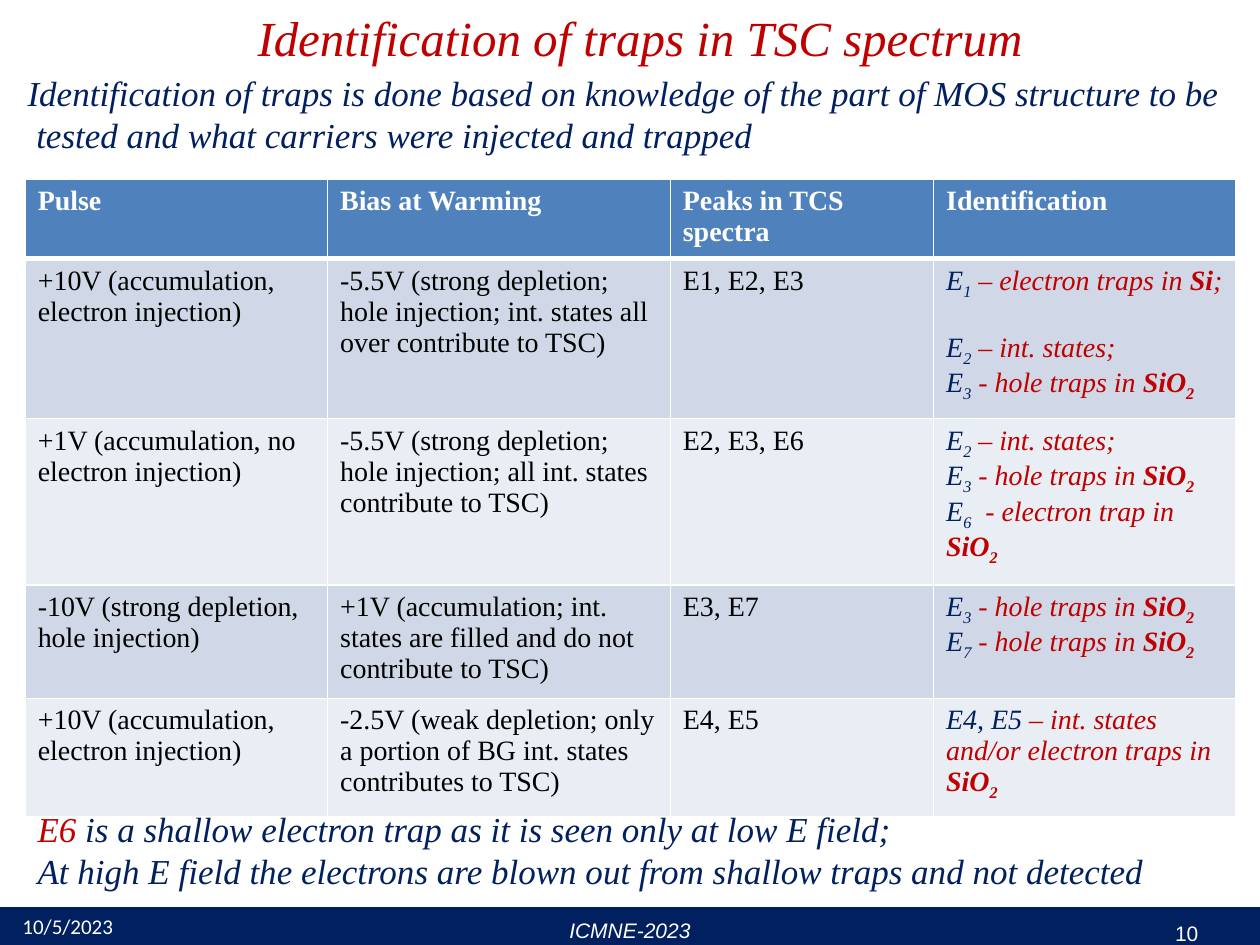
"""Build the slide on identifying traps in a TSC spectrum."""
from dataclasses import dataclass

from lxml import etree
from pptx import Presentation
from pptx.dml.color import RGBColor
from pptx.enum.shapes import MSO_SHAPE
from pptx.enum.text import MSO_ANCHOR, PP_ALIGN
from pptx.oxml.ns import qn
from pptx.util import Inches, Pt

RECTANGLE = MSO_SHAPE.RECTANGLE
TOP, MIDDLE = MSO_ANCHOR.TOP, MSO_ANCHOR.MIDDLE
LEFT, CENTER, RIGHT = PP_ALIGN.LEFT, PP_ALIGN.CENTER, PP_ALIGN.RIGHT
WIDTH, HEIGHT = Inches(10), Inches(7.5)
COLUMN, ROW = WIDTH / 100, HEIGHT / 75


@dataclass(frozen=True)
class Theme:
    """Colours, fonts and type sizes of the slide."""
    red: str = "C00000"
    navy: str = "002060"
    white: str = "FFFFFF"
    black: str = "000000"
    header: str = "4F81BD"
    bands: tuple = ("D0D8E8", "E9EDF4")
    serif: str = "Times New Roman"
    sans: str = "Arial"
    date: str = "Calibri"
    title: int = 28
    body: int = 20
    cell: int = 16
    footer: int = 12


THEME = Theme()


@dataclass(frozen=True)
class Box:
    """An area in grid columns and rows."""
    x: float
    y: float
    w: float
    h: float

    def inner(self, dx, dy, w, h):
        """Return an area offset from this one."""
        return Box(self.x + dx, self.y + dy, w, h)

    def lengths(self):
        """Return left, top, width and height in EMU."""
        return (round(self.x * COLUMN), round(self.y * ROW),
                round(self.w * COLUMN), round(self.h * ROW))


@dataclass(frozen=True)
class Piece:
    """A stretch of text with its own look."""
    text: str
    color: str
    bold: bool = False
    subscript: bool = False


OXIDE = [Piece("SiO", THEME.red, bold=True),
         Piece("2", THEME.red, bold=True, subscript=True)]
SILICON = [Piece("Si", THEME.red, bold=True), Piece(";", THEME.red)]


def trap(number, meaning, material=()):
    """Return the pieces that name one trap and its origin."""
    return [Piece("E", THEME.navy), Piece(number, THEME.navy, subscript=True),
            Piece(meaning, THEME.red), *material]


STATES = trap("2", " – int. states;")
HOLES = trap("3", " - hole traps in ", OXIDE)
HEADINGS = ["Pulse", "Bias at Warming", "Peaks in TCS spectra", "Identification"]
EXPERIMENTS = [
    ("+10V (accumulation, electron injection)",
     "-5.5V (strong depletion; hole injection; int. states all over contribute to TSC)",
     "E1, E2, E3",
     [trap("1", " – electron traps in ", SILICON), STATES, HOLES]),
    ("+1V (accumulation, no electron injection)",
     "-5.5V (strong depletion; hole injection; all int. states contribute to TSC)",
     "E2, E3, E6",
     [STATES, HOLES, trap("6", "  - electron trap in ", OXIDE)]),
    ("-10V (strong depletion, hole injection)",
     "+1V (accumulation; int. states are filled and do not contribute to TSC)",
     "E3, E7",
     [HOLES, trap("7", " - hole traps in ", OXIDE)]),
    ("+10V (accumulation, electron injection)",
     "-2.5V (weak depletion; only a portion of BG int. states contributes to TSC)",
     "E4, E5",
     [[Piece("E4, E5 ", THEME.navy),
       Piece("– int. states and/or electron traps in ", THEME.red), *OXIDE]]),
]
COLUMN_WIDTHS = (24, 27.2, 20.9, 24)
ROW_HEIGHTS = (6.3, 12.7, 13.2, 9, 9.3)


def write(frame, lines, size, font=THEME.serif, italic=False, align=LEFT):
    """Fill a text frame with one paragraph for each list of pieces."""
    for index, pieces in enumerate(lines):
        paragraph = frame.add_paragraph() if index else frame.paragraphs[0]
        paragraph.alignment = align
        paragraph.font.size, paragraph.font.name = Pt(size), font
        paragraph.font.italic = italic
        for piece in pieces:
            run = paragraph.add_run()
            run.text = piece.text
            run.font.bold = piece.bold
            run.font.color.rgb = RGBColor.from_string(piece.color)
            if piece.subscript:
                run.font._element.set("baseline", "-25000")


def add_text(slide, box, lines, size, anchor=TOP, wrap=True, **look):
    """Place a text box."""
    frame = slide.shapes.add_textbox(*box.lengths()).text_frame
    frame.word_wrap, frame.vertical_anchor = wrap, anchor
    write(frame, lines, size, **look)


def add_heading(slide, box):
    """Place the title and the introduction below it."""
    add_text(slide, box.inner(1.4, 0, 98.8, 5.7),
             [[Piece("Identification of traps in TSC spectrum", THEME.red)]],
             THEME.title, italic=True, align=CENTER)
    introduction = [
        "Identification of traps is done based on knowledge of the part of MOS structure to be",
        " tested and what carriers were injected and trapped"]
    add_text(slide, box.inner(1.2, 5.1, 97.2, 7.7),
             [[Piece(line, THEME.navy)] for line in introduction],
             THEME.body, wrap=False, italic=True)


def style_cell(cell, fill, bottom):
    """Give a cell its fill and white borders."""
    cell.fill.solid()
    cell.fill.fore_color.rgb = RGBColor.from_string(fill)
    properties = cell._tc.get_or_add_tcPr()
    for index, (side, width) in enumerate(
            (("lnL", 1), ("lnR", 1), ("lnT", 1), ("lnB", bottom))):
        border = etree.Element(qn("a:" + side), w=str(Pt(width)))
        paint = etree.SubElement(border, qn("a:solidFill"))
        etree.SubElement(paint, qn("a:srgbClr"), val=THEME.white)
        properties.insert(index, border)


def add_experiments(slide, box):
    """Place the table of pulses, biases, peaks and traps."""
    table = slide.shapes.add_table(
        len(ROW_HEIGHTS), len(COLUMN_WIDTHS), *box.lengths()).table
    for column, width in zip(table.columns, COLUMN_WIDTHS):
        column.width = round(width * COLUMN)
    for row, height in zip(table.rows, ROW_HEIGHTS):
        row.height = round(height * ROW)
    for c, heading in enumerate(HEADINGS):
        cell = table.cell(0, c)
        style_cell(cell, THEME.header, 3)
        write(cell.text_frame, [[Piece(heading, THEME.white, bold=True)]], THEME.cell)
    for r, (*conditions, traps) in enumerate(EXPERIMENTS, 1):
        contents = [[[Piece(text, THEME.black)]] for text in conditions] + [traps]
        for c, lines in enumerate(contents):
            cell = table.cell(r, c)
            style_cell(cell, THEME.bands[(r - 1) % 2], 1)
            write(cell.text_frame, lines, THEME.cell, italic=lines is traps)
    table.cell(1, 3).text_frame.paragraphs[1].space_before = Pt(18)


def add_conclusion(slide, box):
    """Place the remark on the shallow trap."""
    remark = [
        [Piece("E6", THEME.red),
         Piece(" is a shallow electron trap as it is seen only at low E field;", THEME.navy)],
        [Piece("At high E field the electrons are blown out from shallow traps and not detected",
               THEME.navy)]]
    add_text(slide, box, remark, THEME.body, wrap=False, italic=True)


def add_footer(slide, box):
    """Place the bar with the date, the conference and the page number."""
    bar = slide.shapes.add_shape(RECTANGLE, *box.lengths())
    bar.shadow.inherit = False
    bar.fill.solid()
    bar.fill.fore_color.rgb = bar.line.color.rgb = RGBColor.from_string(THEME.navy)
    bar.line.width = Pt(4)
    bar.text_frame.word_wrap, bar.text_frame.vertical_anchor = False, MIDDLE
    write(bar.text_frame, [[Piece("ICMNE-2023", THEME.white)]], THEME.footer,
          font=THEME.sans, italic=True, align=CENTER)
    for dx, dy, text, font, align in ((72.8, -0.2, "10", THEME.sans, RIGHT),
                                      (0.8, -0.8, "10/5/2023", THEME.date, LEFT)):
        add_text(slide, box.inner(dx, dy, 23.3, 4), [[Piece(text, THEME.white)]],
                 THEME.footer, anchor=MIDDLE, font=font, align=align)


def main():
    """Build and save the slide."""
    deck = Presentation()
    deck.slide_width, deck.slide_height = WIDTH, HEIGHT
    slide = deck.slides.add_slide(deck.slide_layouts[6])
    add_conclusion(slide, Box(2, 63.6, 90.4, 7.7))
    add_footer(slide, Box(0, 72.3, 100, 3))
    add_experiments(slide, Box(2, 14.2, sum(COLUMN_WIDTHS), sum(ROW_HEIGHTS)))
    add_heading(slide, Box(0, 0.1, 100, 12.8))
    deck.save("out.pptx")


if __name__ == "__main__":
    main()
